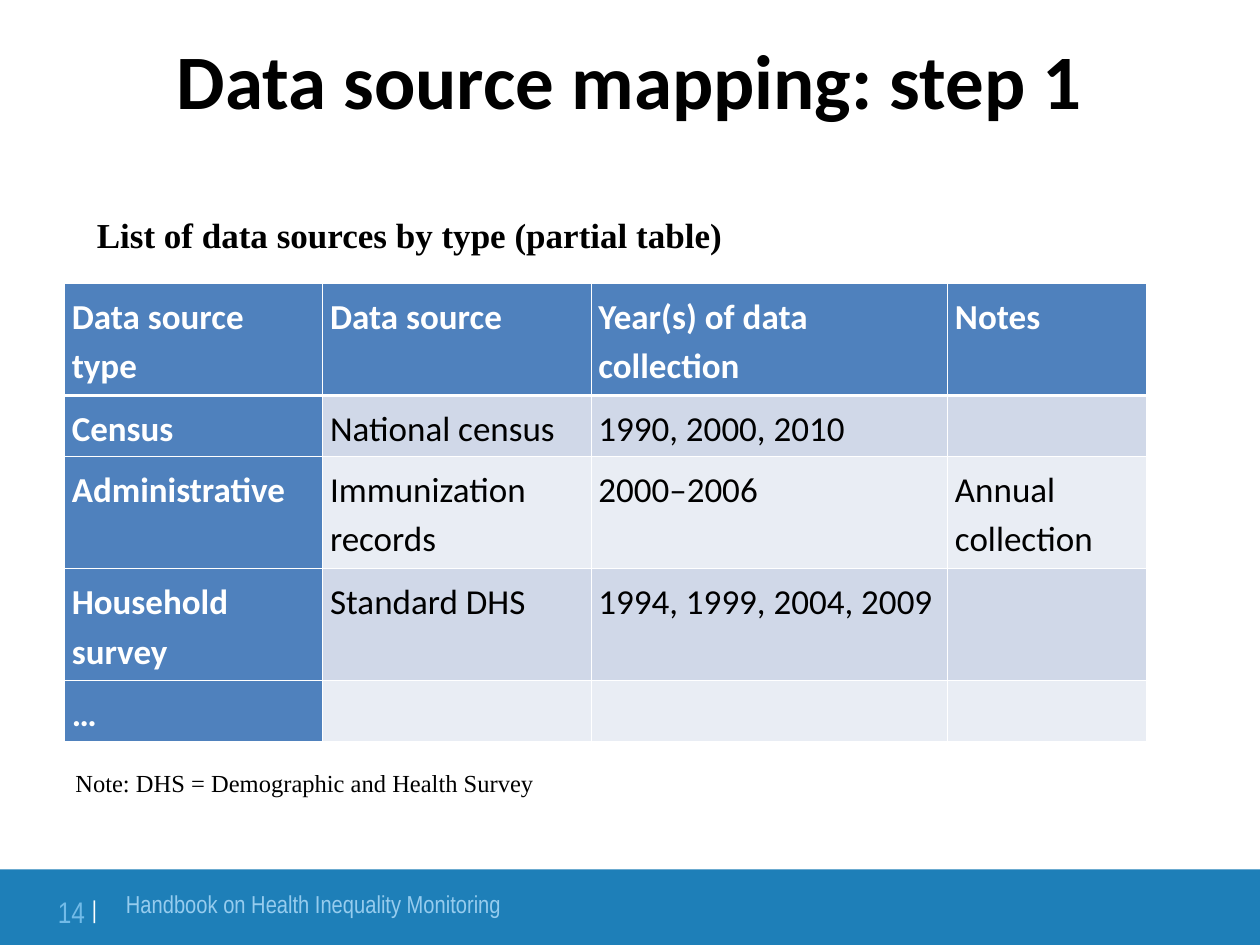
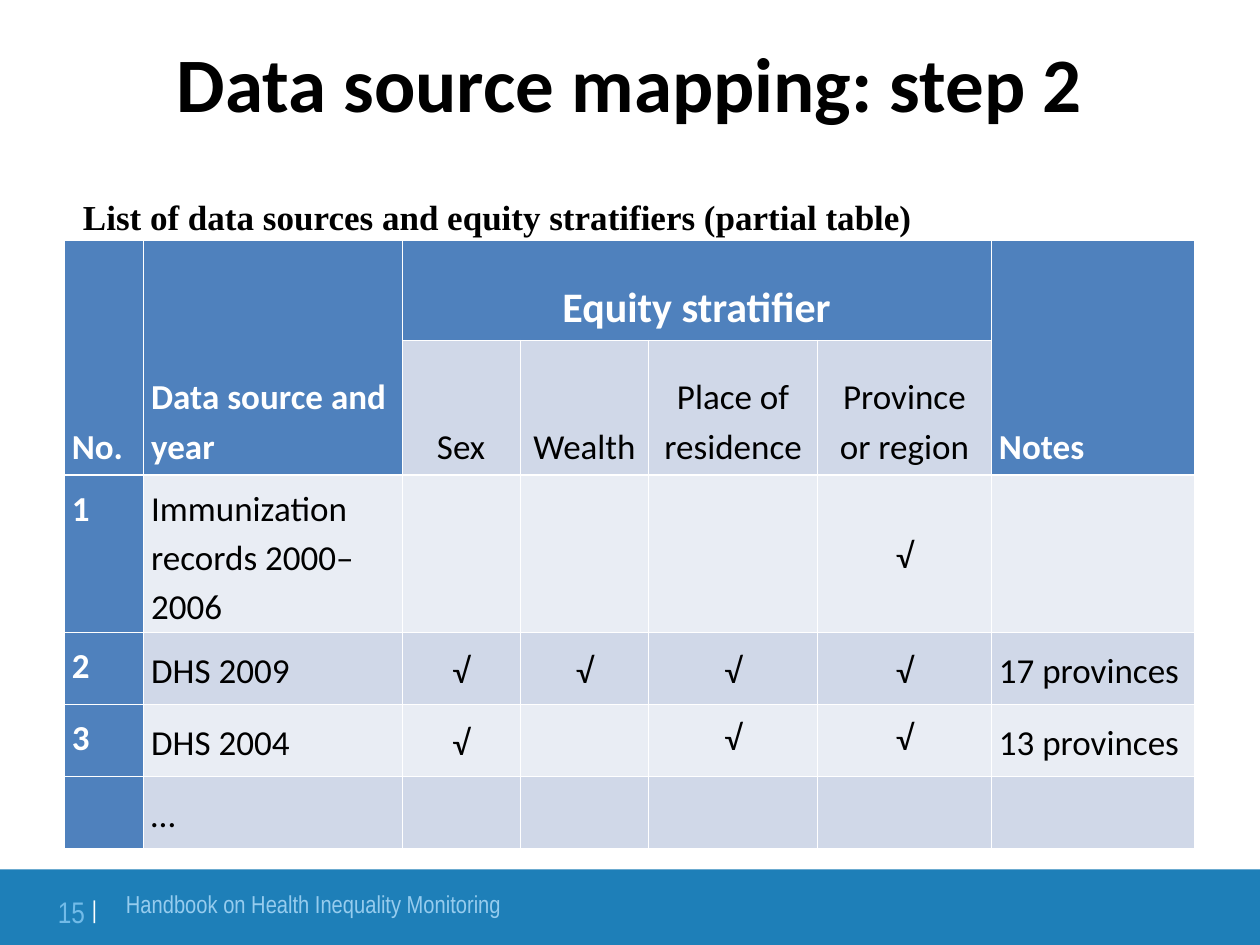
"""Build two slides on data source mapping for health inequality monitoring."""
from dataclasses import dataclass

from lxml import etree
from pptx import Presentation
from pptx.dml.color import RGBColor
from pptx.enum.shapes import MSO_SHAPE
from pptx.enum.text import MSO_ANCHOR, MSO_AUTO_SIZE, PP_ALIGN
from pptx.oxml.ns import qn
from pptx.util import Inches, Pt

RECTANGLE = MSO_SHAPE.RECTANGLE
TOP, MIDDLE, BOTTOM = MSO_ANCHOR.TOP, MSO_ANCHOR.MIDDLE, MSO_ANCHOR.BOTTOM
LEFT, CENTER, RIGHT = PP_ALIGN.LEFT, PP_ALIGN.CENTER, PP_ALIGN.RIGHT
FIXED_SIZE, GROW = MSO_AUTO_SIZE.NONE, MSO_AUTO_SIZE.SHAPE_TO_FIT_TEXT
TITLE_ONLY = 5


@dataclass(frozen=True)
class Theme:
    """Colours, fonts and sizes shared by the slides."""

    black: str = "000000"
    white: str = "FFFFFF"
    accent: str = "4F81BD"
    bands: tuple = ("E9EDF4", "D0D8E8")
    footer: str = "1E7FB8"
    footer_text: str = "96CCEE"
    page_number: str = "72BBE8"
    sans: str = "Calibri"
    serif: str = "Times New Roman"
    narrow: str = "Arial Narrow"
    title_size: int = 44
    group_header_size: int = 24
    body_size: int = 20
    note_size: int = 14
    page_size: int = 17
    separator_size: int = 24
    thin_line: float = 0.45
    heavy_line: float = 1.47


class Deck:
    """Holds the theme, the presentation and the current slide."""

    def __init__(self, theme):
        self.theme = theme
        self.presentation = Presentation()
        self.presentation.slide_width = Inches(10)
        self.presentation.slide_height = Inches(7.5)
        self.slide = None

    def add_slide(self, title, top, page):
        layout = self.presentation.slide_layouts[TITLE_ONLY]
        self.slide = self.presentation.slides.add_slide(layout)
        shape = self.slide.shapes.title
        shape.left, shape.top = Inches(0), Inches(top)
        shape.width, shape.height = Inches(10), Inches(1.25)
        frame = shape.text_frame
        frame.auto_size = FIXED_SIZE
        frame.vertical_anchor = MIDDLE
        frame.paragraphs[0].alignment = CENTER
        self.run(frame.paragraphs[0], title, self.theme.sans, self.theme.title_size, bold=True)
        self.footer(page)

    def run(self, paragraph, text, font, size, color=None, bold=False):
        run = paragraph.add_run()
        run.text = text
        run.font.name = font
        run.font.size = Pt(size)
        run.font.bold = bold
        run.font.color.rgb = RGBColor.from_string(color or self.theme.black)
        return run

    def text_box(self, shapes, box, alignment=LEFT, anchor=TOP, wrap=True, inset=True):
        frame = shapes.add_textbox(*map(Inches, box)).text_frame
        frame.word_wrap = wrap
        frame.vertical_anchor = anchor
        if inset:
            frame.auto_size = GROW
        else:
            frame.margin_left = frame.margin_right = 0
            frame.margin_top = frame.margin_bottom = 0
        frame.paragraphs[0].alignment = alignment
        return frame.paragraphs[0]

    def caption(self, text, box, wrap=True):
        paragraph = self.text_box(self.slide.shapes, box, anchor=MIDDLE, wrap=wrap)
        self.run(paragraph, text, self.theme.serif, self.theme.body_size, bold=True)

    def note(self, text, box):
        paragraph = self.text_box(self.slide.shapes, box, wrap=False)
        self.run(paragraph, text, self.theme.serif, self.theme.note_size)

    def footer(self, page):
        theme = self.theme
        shapes = self.slide.shapes.add_group_shape().shapes
        band = shapes.add_shape(RECTANGLE, Inches(-0.02), Inches(6.9), Inches(10.03), Inches(0.62))
        band.shadow.inherit = False
        band.fill.solid()
        band.fill.fore_color.rgb = RGBColor.from_string(theme.footer)
        band.line.fill.background()
        paragraph = self.text_box(shapes, (1, 7.06, 4.66, 0.44), inset=False)
        self.run(paragraph, "Handbook on Health Inequality Monitoring",
                 theme.narrow, theme.note_size, theme.footer_text)
        paragraph = self.text_box(shapes, (0.38, 7, 0.39, 0.37), RIGHT, inset=False)
        self.run(paragraph, f"{page} ", theme.narrow, theme.page_size, theme.page_number)
        separator = self.run(paragraph, "|", theme.narrow, theme.separator_size, theme.white)
        separator.font._element.set("baseline", "14000")

    def table(self, rows, left, top, widths, heights, header_rows=1, merges=(),
              centered=(), header_anchor=TOP, body_anchor=TOP, raised=()):
        theme = self.theme
        frame = self.slide.shapes.add_table(
            len(heights), len(widths), Inches(left), Inches(top),
            Inches(sum(widths)), Inches(sum(heights)))
        table = frame.table
        for column, width in zip(table.columns, widths):
            column.width = Inches(width)
        for row, height in zip(table.rows, heights):
            row.height = Inches(height)
        for first, last in merges:
            table.cell(*first).merge(table.cell(*last))
        for row, texts in enumerate(rows):
            for column, text in enumerate(texts):
                cell = table.cell(row, column)
                accented = row == 0 or column == 0
                self.borders(cell, row == header_rows, row + cell.span_height == header_rows)
                cell.fill.solid()
                fill = theme.accent if accented else theme.bands[row % 2]
                cell.fill.fore_color.rgb = RGBColor.from_string(fill)
                cell.margin_left = cell.margin_right = Inches(0.06)
                cell.margin_top = cell.margin_bottom = Inches(0.05)
                if row < header_rows:
                    cell.vertical_anchor = header_anchor
                elif column == 0 or (row, column) in raised:
                    cell.vertical_anchor = TOP
                else:
                    cell.vertical_anchor = body_anchor
                if text:
                    paragraph = cell.text_frame.paragraphs[0]
                    paragraph.alignment = CENTER if column in centered else LEFT
                    paragraph.line_spacing = 1.15
                    paragraph.space_after = Pt(3)
                    size = theme.group_header_size if cell.span_width > 1 else theme.body_size
                    color = theme.white if accented else theme.black
                    self.run(paragraph, text, theme.sans, size, color, accented)

    def borders(self, cell, heavy_top, heavy_bottom):
        properties = cell._tc.get_or_add_tcPr()
        for side, heavy in (("L", False), ("R", False), ("T", heavy_top), ("B", heavy_bottom)):
            width = self.theme.heavy_line if heavy else self.theme.thin_line
            line = etree.SubElement(properties, qn(f"a:ln{side}"), w=str(int(Pt(width))))
            fill = etree.SubElement(line, qn("a:solidFill"))
            etree.SubElement(fill, qn("a:srgbClr"), val=self.theme.white)


def main():
    deck = Deck(Theme())

    deck.add_slide("Data source mapping: step 1", 0, 14)
    sources = [
        ("Data source type", "Data source", "Year(s) of data collection", "Notes"),
        ("Census", "National census", "1990, 2000, 2010", ""),
        ("Administrative", "Immunization records", "2000–2006", "Annual collection"),
        ("Household survey", "Standard DHS", "1994, 1999, 2004, 2009", ""),
        ("…", "", "", ""),
    ]
    deck.table(sources, 0.51, 2.25, (2.05, 2.13, 2.83, 1.58), (0.89, 0.47, 0.89, 0.89, 0.47))
    deck.caption("List of data sources by type (partial table)", (0.67, 1.64, 7.56, 0.44))
    deck.note("Note: DHS = Demographic and Health Survey", (0.5, 6.05, 3.84, 0.34))

    deck.add_slide("Data source mapping: step 2", 0.02, 15)
    stratifiers = [
        ("No.", "Data source and year", "Equity stratifier", "", "", "", "Notes"),
        ("", "", "Sex", "Wealth", "Place of residence", "Province or region", ""),
        ("1", "Immunization records 2000–2006", "", "", "", "√", ""),
        ("2", "DHS 2009", "√", "√", "√", "√", "17 provinces"),
        ("3", "DHS 2004", "√", "", "√", "√", "13 provinces"),
        ("", "…", "", "", "", "", ""),
    ]
    deck.table(
        stratifiers, 0.51, 1.91,
        (0.63, 2.05, 0.94, 1.02, 1.34, 1.38, 1.61), (0.79, 1.07, 1.19, 0.57, 0.57, 0.57),
        header_rows=2,
        merges=[((0, 2), (0, 5))] + [((0, column), (1, column)) for column in (0, 1, 6)],
        centered=range(2, 6), header_anchor=BOTTOM, body_anchor=MIDDLE,
        raised=((4, 4), (4, 5)))
    deck.caption("List of data sources and equity stratifiers (partial table)",
                 (0.56, 1.5, 6.78, 0.44), wrap=False)

    deck.presentation.save("out.pptx")


if __name__ == "__main__":
    main()
